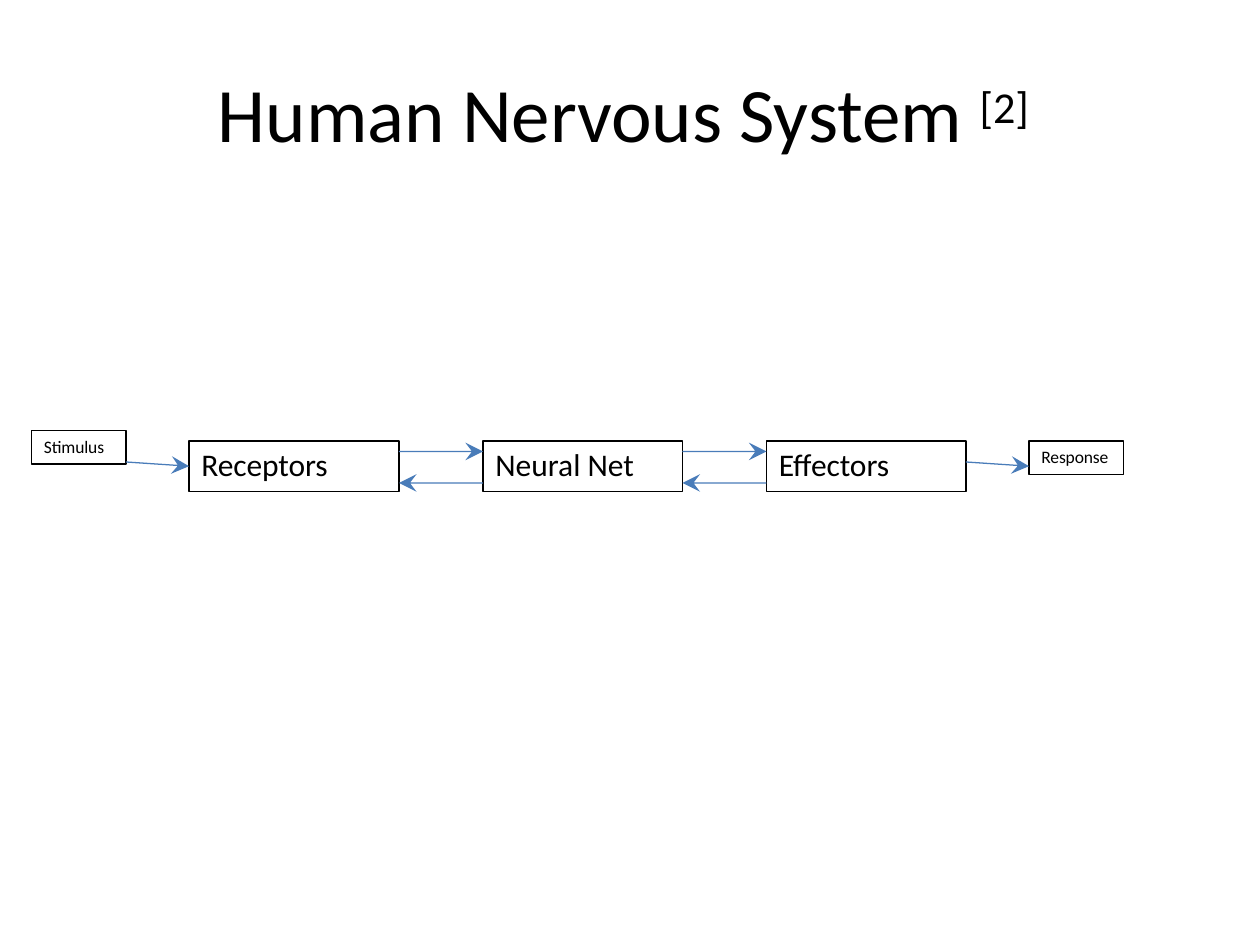
from math import hypot

from pptx import Presentation
from pptx.dml.color import RGBColor
from pptx.enum.shapes import MSO_SHAPE
from pptx.enum.text import MSO_ANCHOR, PP_ALIGN
from pptx.util import Inches, Pt

BLACK = RGBColor(0x00, 0x00, 0x00)
ARROW_BLUE = RGBColor(0x49, 0x7C, 0xB9)
FONT = "Calibri"
GRID = 1 / 12  # inches per column and row
TIGHT = -5  # letter spacing in hundredths of a point

# Flow stages: label, (column, row, columns, rows), format, letter spacing
STAGE = {"size": 18, "space_before": 2.5, "top_inset": 0.03}
ENDPOINT = {"size": 10, "space_before": 3, "top_inset": 0.04}
STAGES = [
    ("Stimulus", (3, 41, 9, 3.2), ENDPOINT, TIGHT),
    ("Receptors", (18, 42, 20, 4.8), STAGE, TIGHT),
    ("Neural Net", (46, 42, 19, 4.8), STAGE, 0),
    ("Effectors", (73, 42, 19, 4.8), STAGE, TIGHT),
    ("Response", (98, 42, 9, 3.2), ENDPOINT, TIGHT),
]
FORWARD_ROW, BACK_ROW = 43, 46
OUTER_START_ROW, OUTER_END_ROW = 44, 44.4

# Arrow measures in inches
HEAD_LENGTH, HEAD_HALF, NOTCH, SHAFT_HALF = 0.14, 0.07, 0.09, 0.01


def set_frame(frame, top_inset, left_inset):
    settings = {
        "margin_left": Inches(left_inset), "margin_right": 0,
        "margin_top": Inches(top_inset), "margin_bottom": 0,
        "vertical_anchor": MSO_ANCHOR.TOP, "word_wrap": True,
    }
    for name, value in settings.items():
        setattr(frame, name, value)


def add_run(paragraph, text, size, spacing=0):
    run = paragraph.add_run()
    run.text = text
    for name, value in {"name": FONT, "size": Pt(size)}.items():
        setattr(run.font, name, value)
    run.font.color.rgb = BLACK
    run.font._element.set("spc", str(spacing))
    return run


def add_title(slide, box, text, citation):
    title = slide.shapes.add_textbox(*map(Inches, box))
    set_frame(title.text_frame, top_inset=0.01, left_inset=0.04)
    paragraph = title.text_frame.paragraphs[0]
    paragraph.space_before = Pt(1.1)
    add_run(paragraph, text, 44, TIGHT)
    superscript = add_run(paragraph, citation, 43.5)
    superscript.font._element.set("baseline", "25000")


def add_stage(slide, label, box, style, spacing):
    stage = slide.shapes.add_shape(
        MSO_SHAPE.RECTANGLE, *(Inches(cells * GRID) for cells in box))
    stage.shadow.inherit = False
    stage.fill.background()
    stage.line.color.rgb = BLACK
    stage.line.width = Pt(0.72)
    set_frame(stage.text_frame, style["top_inset"], left_inset=0.1)
    paragraph = stage.text_frame.paragraphs[0]
    paragraph.alignment = PP_ALIGN.LEFT
    paragraph.space_before = Pt(style["space_before"])
    add_run(paragraph, label, style["size"], spacing)


def add_arrow(slide, start, end):
    """Draw a thin arrow with a notched head between two grid points."""
    (x, y), (tip_x, tip_y) = ([cells * GRID for cells in point] for point in (start, end))
    length = hypot(tip_x - x, tip_y - y)
    along_x, along_y = (tip_x - x) / length, (tip_y - y) / length
    upper = [(0, SHAFT_HALF / 2), (length - NOTCH, SHAFT_HALF / 2),
             (length - HEAD_LENGTH, HEAD_HALF)]
    lower = [(along, -across) for along, across in reversed(upper)]
    outline = [
        (Inches(x + along * along_x - across * along_y),
         Inches(y + along * along_y + across * along_x))
        for along, across in [*upper, (length, 0), *lower]
    ]
    builder = slide.shapes.build_freeform(*outline[0])
    builder.add_line_segments(outline[1:], close=True)
    arrow = builder.convert_to_shape()
    arrow.shadow.inherit = False
    arrow.fill.solid()
    arrow.fill.fore_color.rgb = ARROW_BLUE
    arrow.line.fill.background()


def add_flow(slide, stages):
    """Draw the stages in a row, with two-way arrows between inner stages."""
    for stage in stages:
        add_stage(slide, *stage)
    for (_, source, source_style, _), (_, target, target_style, _) in zip(stages, stages[1:]):
        gap_start, gap_end = source[0] + source[2], target[0]
        if ENDPOINT in (source_style, target_style):
            add_arrow(slide, (gap_start, OUTER_START_ROW), (gap_end, OUTER_END_ROW))
        else:
            add_arrow(slide, (gap_start, FORWARD_ROW), (gap_end, FORWARD_ROW))
            add_arrow(slide, (gap_end, BACK_ROW), (gap_start, BACK_ROW))


def main():
    presentation = Presentation()
    presentation.slide_width, presentation.slide_height = Inches(10), Inches(7.5)
    slide = presentation.slides.add_slide(presentation.slide_layouts[6])
    add_title(slide, (1.69, 0.51, 6.63, 0.76), "Human Nervous System ", "[2]")
    add_flow(slide, STAGES)
    presentation.save("out.pptx")


if __name__ == "__main__":
    main()
